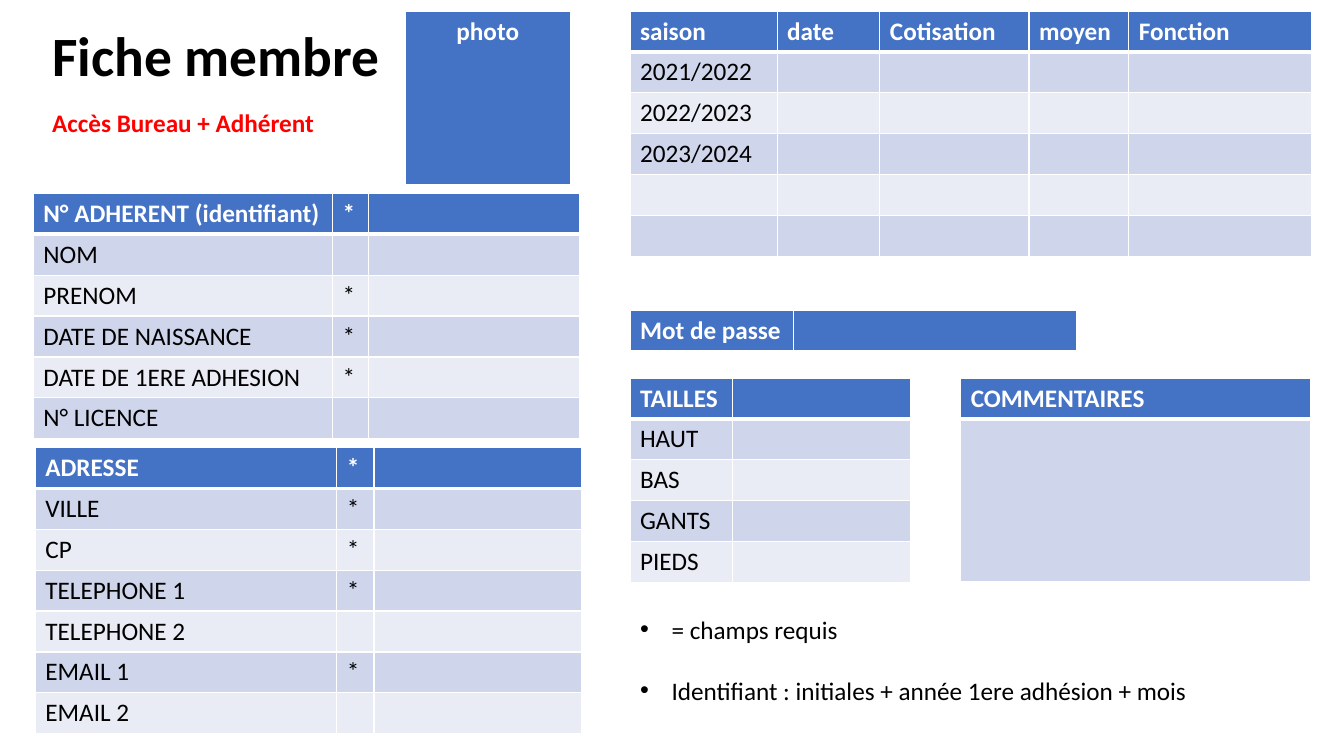
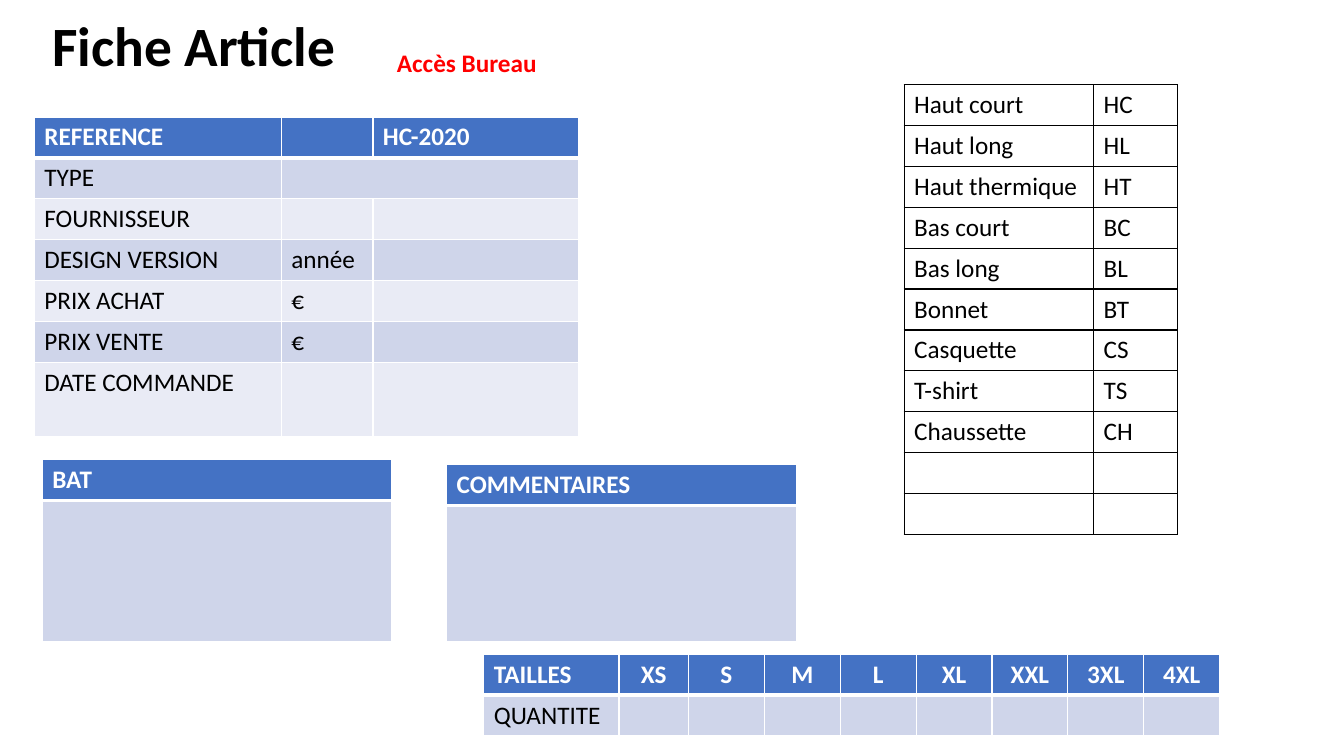
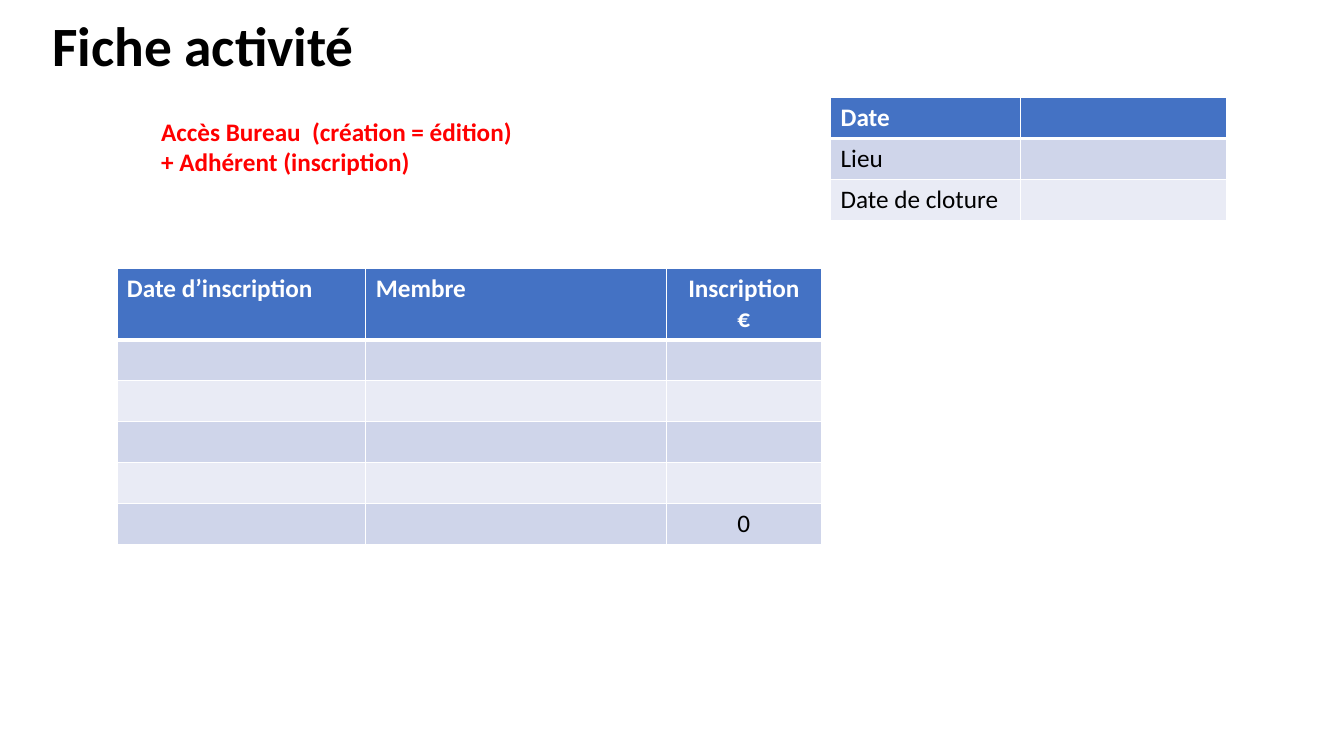
from lxml import etree
from pptx import Presentation, util as u
from pptx.dml.color import RGBColor
from pptx.enum import text as t
from pptx.oxml.ns import qn

BLACK = RGBColor(0x00, 0x00, 0x00)
WHITE = RGBColor(0xFF, 0xFF, 0xFF)
RED = RGBColor(0xFF, 0x00, 0x00)
BLUE = RGBColor(0x44, 0x72, 0xC4)
BANDS = (RGBColor(0xCF, 0xD5, 0xEA), RGBColor(0xE9, 0xEB, 0xF5))
ROW = 29.2
LEFT = 30.2
WIDE = 249.8
BASE = {"name": "Calibri", "size": u.Pt(18), "bold": False}
BOLD = {**BASE, "bold": True}
TITLE = {**BOLD, "size": u.Pt(39.6)}


class Deck:
    """Holds the shared style and the current slide."""

    def __init__(self):
        self.prs = Presentation()
        self.prs.slide_width, self.prs.slide_height = u.Pt(960), u.Pt(540)
        self.slide = None

    def place(self, shape, box):
        for name, value in zip(("left", "top", "width", "height"), box):
            setattr(shape, name, u.Pt(value))

    def format(self, frame, look, color, **para):
        for line in frame.paragraphs:
            for name, value in para.items():
                setattr(line, name, value)
            for run in line.runs:
                for name, value in look.items():
                    setattr(run.font, name, value)
                run.font.color.rgb = color

    def page(self, title, top=9.4, width=414, layout=5):
        self.slide = self.prs.slides.add_slide(self.prs.slide_layouts[layout])
        head = self.slide.shapes.title
        self.place(head, (LEFT, top, width, 51.1))
        frame = head.text_frame
        frame.text = title
        frame.auto_size = t.MSO_AUTO_SIZE.NONE
        frame.vertical_anchor = t.MSO_ANCHOR.MIDDLE
        self.format(frame, TITLE, BLACK, alignment=t.PP_ALIGN.LEFT, line_spacing=0.9)

    def access(self, words, *box):
        frame = self.slide.shapes.add_textbox(*map(u.Pt, box)).text_frame
        frame.word_wrap = True
        frame.text = words
        self.format(frame, BOLD, RED)

    def list(self, items, *box):
        body = self.slide.placeholders[1]
        self.place(body, box)
        frame = body.text_frame
        frame.text = "\n".join(items)
        frame.auto_size = t.MSO_AUTO_SIZE.NONE
        self.format(frame, BASE, BLACK, space_before=u.Pt(0))
        for line in frame.paragraphs:
            props = line._p.get_or_add_pPr()
            props.set("marL", str(u.Pt(22.5)))
            props.set("indent", str(u.Pt(-22.5)))
        for line in frame.paragraphs[1:]:
            line.space_before = u.Pt(22)

    def edge(self, cell, color, top, base):
        props = cell._tc.get_or_add_tcPr()
        for side, width in {"L": 1, "R": 1, "T": top, "B": base}.items():
            line = etree.SubElement(props, qn(f"a:ln{side}"), w=str(u.Pt(width)))
            fill = etree.SubElement(line, qn("a:solidFill"))
            etree.SubElement(fill, qn("a:srgbClr"), val=str(color))

    def table(self, left, top, cols, rows, highs=None, mid=(), plain=False):
        highs = highs or [ROW] * len(rows)
        box = (left, top, sum(cols), sum(highs))
        frame = self.slide.shapes.add_table(len(rows), len(cols), *map(u.Pt, box))
        grid = frame.table
        grid.first_row = not plain
        grid.horz_banding = not plain
        for col, width in zip(grid.columns, cols):
            col.width = u.Pt(width)
        for i, (words, high) in enumerate(zip(rows, highs)):
            grid.rows[i].height = u.Pt(high)
            head = i == 0 and not plain
            for j in range(len(cols)):
                cell = grid.cell(i, j)
                cell.text = words[j] if j < len(words) else ""
                side = t.PP_ALIGN.CENTER if j in mid else t.PP_ALIGN.LEFT
                self.format(cell.text_frame, BOLD if head else BASE,
                            WHITE if head else BLACK, alignment=side)
                if plain:
                    self.edge(cell, BLACK, 1, 1)
                    cell.fill.background()
                else:
                    self.edge(cell, WHITE, 3 if i == 1 else 1, 3 if head else 1)
                    cell.fill.solid()
                    cell.fill.fore_color.rgb = BLUE if head else BANDS[(i - 1) % 2]
        return grid

    def note(self, left, top, title, high):
        self.table(left, top, [WIDE], [(title,), ()], [ROW, high])


deck = Deck()

deck.page("Fiche membre", 16.6, 262.8, layout=1)
deck.table(23.8, 138.2, [213.8, 25.9, 150.5], [
    ("N° ADHERENT (identifiant)", "*"), ("NOM",), ("PRENOM", "*"),
    ("DATE DE NAISSANCE", "*"), ("DATE DE 1ERE ADHESION", "*"), ("N° LICENCE",)])
deck.table(450, 7.9, [105.1, 73.4, 106.6, 71.3, 130.3], [
    ("saison", "date", "Cotisation", "moyen", "Fonction"),
    ("2021/2022",), ("2022/2023",), ("2023/2024",), (), ()])
deck.table(25.2, 319.7, [215.3, 26.6, 148.3], [
    ("ADRESSE", "*"), ("VILLE", "*"), ("CP", "*"), ("TELEPHONE 1", "*"),
    ("TELEPHONE 2",), ("EMAIL 1", "*"), ("EMAIL 2",)])
deck.table(450, 270, [73.4, 127.4],
           [("TAILLES",), ("HAUT",), ("BAS",), ("GANTS",), ("PIEDS",)])
deck.note(686.2, 270, "COMMENTAIRES", 116)
deck.table(289.4, 7.9, [118.1], [("photo",)], [124.6], mid=(0,))
deck.table(450, 221.8, [116.6, 202.3], [("Mot de passe",)])
deck.list(["= champs requis", "Identifiant : initiales + année 1ere adhésion + mois"],
          450, 434.9, 414, 72.7)
deck.access("Accès Bureau + Adhérent", LEFT, 73.4, 240.5, 29)

deck.page("Fiche Article")
item = deck.table(24.5, 83.5, [176.4, 65.5, 146.9], [
    ("REFERENCE", "", "HC-2020"), ("TYPE",), ("FOURNISSEUR",),
    ("DESIGN VERSION", "année"), ("PRIX ACHAT", "€"), ("PRIX VENTE", "€"),
    ("DATE COMMANDE",)], [ROW] * 6 + [53])
item.cell(1, 1).merge(item.cell(1, 2))
deck.note(319, 331.9, "COMMENTAIRES", 97.4)
deck.note(LEFT, 328.3, "BAT", 101)
deck.table(345.6, 467.3, [96.5, 49.7] + [54.2] * 7, [
    ("TAILLES", "XS", "S", "M", "L", "XL", "XXL", "3XL", "4XL"), ("QUANTITE",)],
    mid=range(1, 9))
deck.table(645.8, 60.5, [135.4, 59.8], [
    ("Haut court", "HC"), ("Haut long", "HL"), ("Haut thermique", "HT"),
    ("Bas court", "BC"), ("Bas long", "BL"), ("Bonnet", "BT"),
    ("Casquette", "CS"), ("T-shirt", "TS"), ("Chaussette", "CH"), (), ()], plain=True)
deck.access("Accès Bureau", 276.5, 30.2, 196.6, 29)

deck.page("Fiche activité")
deck.table(83.5, 191.5, [177.8, 214.6, 110.9], [
    ("Date d’inscription", "Membre", "Inscription\n€"), (), (), (), (), ("", "", "0")],
    [51.2] + [ROW] * 5, mid=(2,))
deck.table(593.3, 69.8, [135.4, 147.6], [("Date",), ("Lieu",), ("Date de cloture",)])
deck.access("Accès Bureau  (création = édition)\n+ Adhérent (inscription)",
            108, 79.2, 267.8, 51.1)

deck.prs.save("out.pptx")
